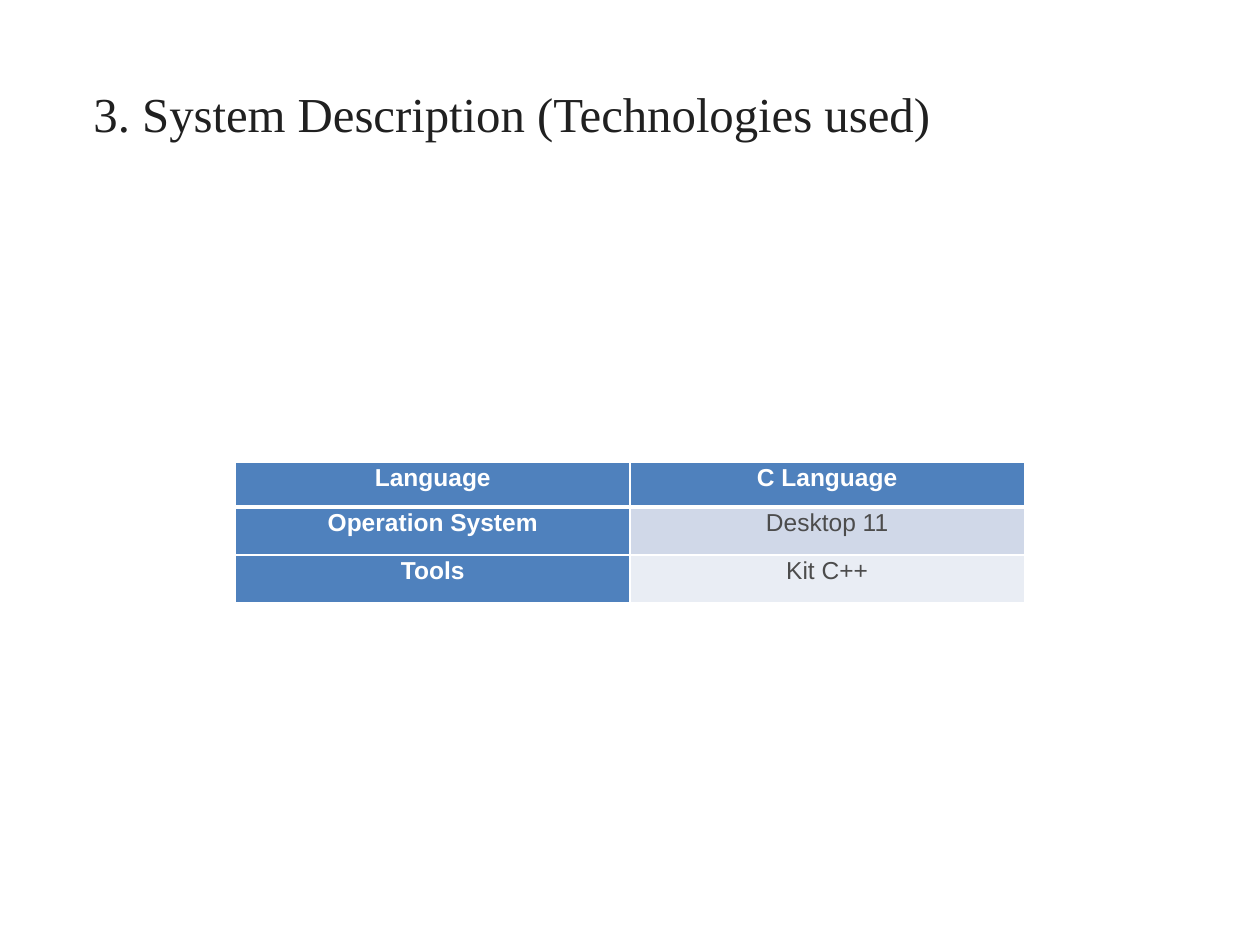
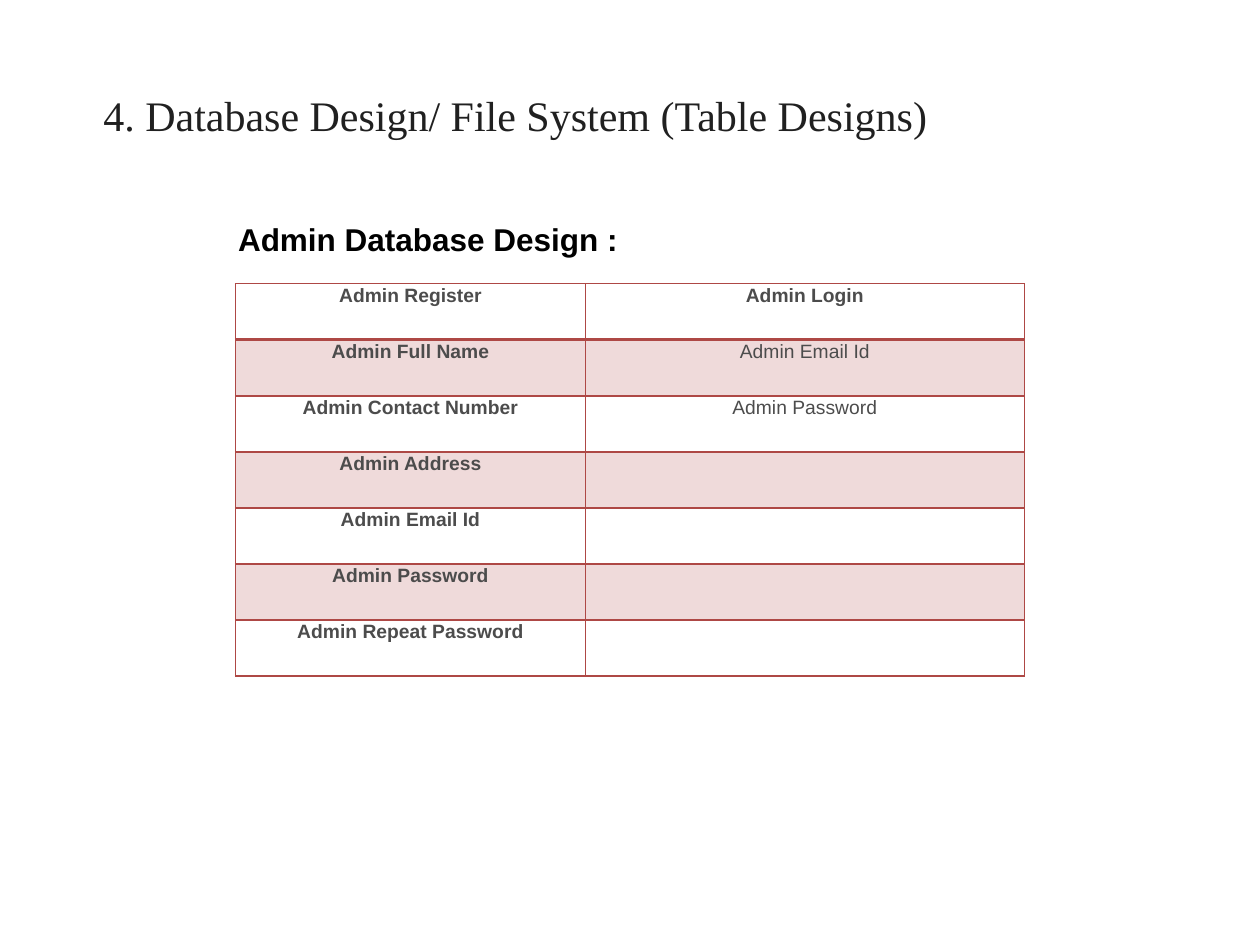
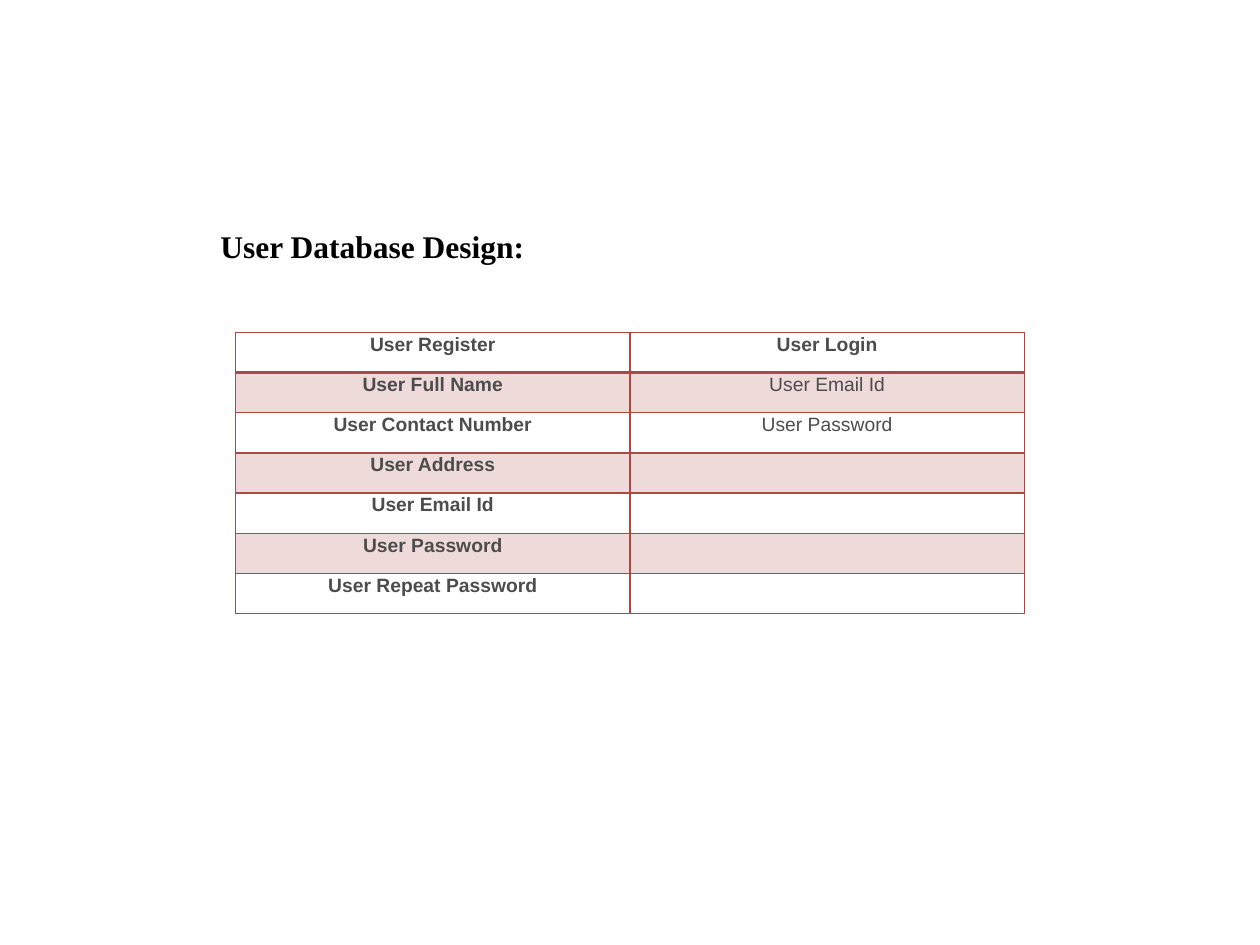
from dataclasses import dataclass

from lxml.etree import SubElement
from pptx import Presentation
from pptx.dml.color import RGBColor
from pptx.enum.text import MSO_ANCHOR, MSO_AUTO_SIZE, PP_ALIGN
from pptx.oxml.ns import qn
from pptx.slide import Slide
from pptx.table import _Cell
from pptx.text.text import TextFrame
from pptx.util import Cm, Pt


# Shared look
@dataclass(frozen=True)
class Theme:
    serif: str = "Times New Roman"
    sans: str = "Arial"
    title: str = "202020"
    heading: str = "000000"
    body: str = "4C4C4C"
    white: str = "FFFFFF"
    blue: str = "4F81BD"
    blue_bands: tuple[str, str] = ("D0D8E8", "E9EDF4")
    red: str = "AE4845"
    red_band: str = "EFDADA"
    title_size: float = 27.9
    long_title_size: float = 24
    heading_size: float = 18
    technology_size: float = 14
    field_size: float = 11
    line_spacing: float = 1.07
    space_after: float = 8


THEME = Theme()


@dataclass(frozen=True)
class TextStyle:
    font: str
    size: float
    color: str
    bold: bool = False
    align: PP_ALIGN = PP_ALIGN.LEFT
    line_spacing: float = 1.0
    space_after: float = 0


@dataclass(frozen=True)
class Caption:
    text: str
    left: float
    top: float
    width: float
    height: float
    style: TextStyle


@dataclass(frozen=True)
class TableStyle:
    size: float
    border: str
    header_rule: float
    label_color: str
    label_fill: str | None
    bands: tuple[str | None, str | None]


@dataclass(frozen=True)
class Grid:
    rows: list[tuple[str, str]]
    top: float
    columns: tuple[float, float]
    heights: list[float]
    style: TableStyle


TABLE_LEFT = 4.75
BORDER_WIDTH = 1
TECHNOLOGY_STYLE = TableStyle(THEME.technology_size, THEME.white, 3,
                              THEME.white, THEME.blue, THEME.blue_bands)
FIELD_STYLE = TableStyle(THEME.field_size, THEME.red, 2,
                         THEME.body, None, (THEME.red_band, None))


# Text
def write(frame: TextFrame, text: str, style: TextStyle) -> None:
    frame.text = text
    paragraph = frame.paragraphs[0]
    paragraph.alignment = style.align
    paragraph.line_spacing = style.line_spacing
    paragraph.space_before = Pt(0)
    paragraph.space_after = Pt(style.space_after)
    for run in paragraph.runs:
        run.font.name = style.font
        run.font.size = Pt(style.size)
        run.font.bold = style.bold
        run.font.color.rgb = RGBColor.from_string(style.color)


def set_up_frame(frame: TextFrame) -> None:
    frame.word_wrap = True
    frame.auto_size = MSO_AUTO_SIZE.NONE
    frame.vertical_anchor = MSO_ANCHOR.TOP


def add_title(slide: Slide, caption: Caption) -> None:
    title = slide.shapes.title
    title.left, title.top = Cm(caption.left), Cm(caption.top)
    title.width, title.height = Cm(caption.width), Cm(caption.height)
    set_up_frame(title.text_frame)
    write(title.text_frame, caption.text, caption.style)


def add_heading(slide: Slide, caption: Caption) -> None:
    heading = slide.shapes.add_textbox(Cm(caption.left), Cm(caption.top),
                                       Cm(caption.width), Cm(caption.height))
    set_up_frame(heading.text_frame)
    write(heading.text_frame, caption.text, caption.style)


# Tables
def set_borders(cell: _Cell, color: str, top: float, bottom: float) -> None:
    widths = {"a:lnL": BORDER_WIDTH, "a:lnR": BORDER_WIDTH, "a:lnT": top, "a:lnB": bottom}
    properties = cell._tc.get_or_add_tcPr()
    for position, (tag, width) in enumerate(widths.items()):
        line = SubElement(properties, qn(tag), w=str(Pt(width)))
        fill = SubElement(line, qn("a:solidFill"))
        SubElement(fill, qn("a:srgbClr"), val=color)
        properties.insert(position, line)


def set_fill(cell: _Cell, color: str | None) -> None:
    if color is None:
        cell.fill.background()
    else:
        cell.fill.solid()
        cell.fill.fore_color.rgb = RGBColor.from_string(color)


def add_grid(slide: Slide, grid: Grid) -> None:
    look = grid.style
    table = slide.shapes.add_table(
        len(grid.rows), len(grid.columns), Cm(TABLE_LEFT), Cm(grid.top),
        Cm(sum(grid.columns)), Cm(sum(grid.heights))).table
    table.first_col = True
    for column, width in zip(table.columns, grid.columns):
        column.width = Cm(width)
    for row, height in zip(table.rows, grid.heights):
        row.height = Cm(height)

    for r, texts in enumerate(grid.rows):
        for c, text in enumerate(texts):
            cell = table.cell(r, c)
            cell.margin_left = cell.margin_right = Cm(0.18)
            cell.margin_top = cell.margin_bottom = 0
            is_label = r == 0 or c == 0
            if text:
                write(cell.text_frame, text, TextStyle(
                    THEME.sans, look.size, look.label_color if is_label else THEME.body,
                    is_label, PP_ALIGN.CENTER, THEME.line_spacing, THEME.space_after))
            band = look.bands[(r - 1) % 2]
            set_fill(cell, look.label_fill if is_label and look.label_fill else
                     None if r == 0 else band)
            set_borders(cell, look.border,
                        top=look.header_rule if r == 1 else BORDER_WIDTH,
                        bottom=look.header_rule if r == 0 else BORDER_WIDTH)


def account_fields(role: str) -> list[tuple[str, str]]:
    """Pair the registration fields of a role with its login fields."""
    register = ["Register", "Full Name", "Contact Number", "Address",
                "Email Id", "Password", "Repeat Password"]
    login = ["Login", "Email Id", "Password"]
    login_cells = [f"{role} {field}" for field in login]
    login_cells += [""] * (len(register) - len(login))
    return [(f"{role} {field}", cell) for field, cell in zip(register, login_cells)]


# Slides
def main() -> None:
    deck = Presentation()
    deck.slide_width, deck.slide_height = Cm(25.4), Cm(19.05)
    title_only = deck.slide_layouts[5]

    # Technologies
    technologies = deck.slides.add_slide(title_only)
    add_title(technologies, Caption(
        "3. System Description (Technologies used)", 1.63, 1.78, 17.63, 1.9,
        TextStyle(THEME.serif, THEME.title_size, THEME.title,
                  align=PP_ALIGN.JUSTIFY, line_spacing=0.8)))
    add_grid(technologies, Grid(
        [("Language", "C Language"), ("Operation System", "Desktop 11"), ("Tools", "Kit C++")],
        9.32, (7.95, 7.95), [0.9, 0.97, 0.97], TECHNOLOGY_STYLE))

    # Admin database
    admin = deck.slides.add_slide(title_only)
    add_title(admin, Caption(
        "4. Database Design/ File System (Table Designs)", 1.83, 1.68, 17.63, 1.9,
        TextStyle(THEME.serif, THEME.long_title_size, THEME.title)))
    add_heading(admin, Caption(
        "Admin Database Design :", 4.55, 4.32, 8.86, 1.63,
        TextStyle(THEME.sans, THEME.heading_size, THEME.heading, bold=True)))
    admin_fields = account_fields("Admin")
    add_grid(admin, Grid(admin_fields, 5.72, (7.05, 8.85),
                         [1.13] * len(admin_fields), FIELD_STYLE))

    # User database
    user = deck.slides.add_slide(title_only)
    add_title(user, Caption(
        "User Database Design:", 4.19, 4.39, 8.05, 1.04,
        TextStyle(THEME.serif, THEME.heading_size, THEME.heading, bold=True,
                  line_spacing=THEME.line_spacing, space_after=THEME.space_after)))
    user_fields = account_fields("User")
    add_grid(user, Grid(user_fields, 6.7, (7.95, 7.95),
                        [0.81] * len(user_fields), FIELD_STYLE))

    deck.save("out.pptx")


if __name__ == "__main__":
    main()
